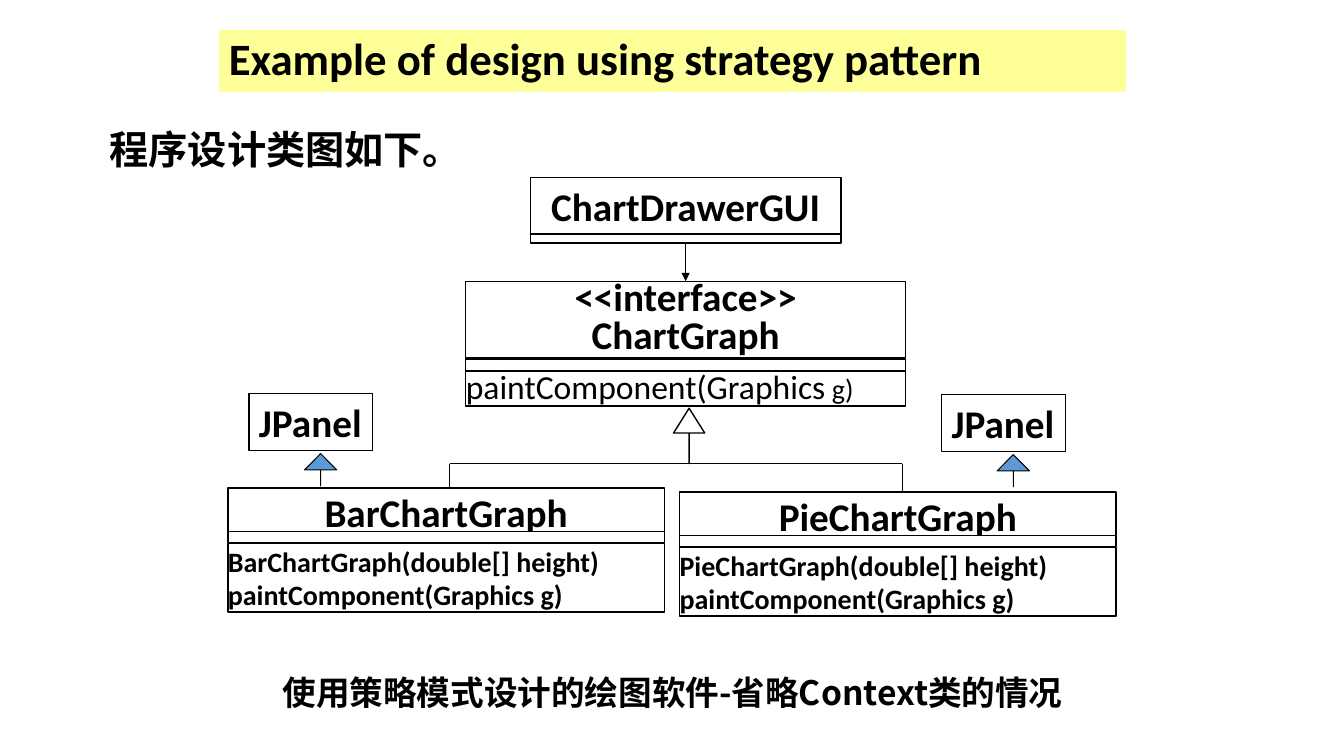
from dataclasses import dataclass

from lxml.etree import SubElement
from pptx import Presentation
from pptx.dml.color import RGBColor
from pptx.enum.shapes import MSO_CONNECTOR as Connector, MSO_SHAPE as Preset
from pptx.enum.text import MSO_ANCHOR as Anchor, MSO_AUTO_SIZE as AutoSize, PP_ALIGN as Align
from pptx.oxml.ns import qn
from pptx.util import Inches, Pt

COLORS = {"ink": "000000", "paper": "FFFFFF", "banner": "FFFF99", "arrow": "5B9BD5"}
LATIN = "Calibri"
CHINESE = "Noto Sans CJK SC"


@dataclass(frozen=True)
class Rect:
    left: float
    top: float
    width: float
    height: float

    def lengths(self) -> tuple:
        return tuple(Inches(n) for n in (self.left, self.top, self.width, self.height))


@dataclass(frozen=True)
class ClassBox:
    title: str
    header: Rect
    strip: Rect
    operations: Rect | None = None
    methods: str = ""
    method_size: int = 20
    method_bold: bool = True
    title_spacing: float = 1.0


@dataclass(frozen=True)
class UpArrow:
    rect: Rect
    head: float
    fill: str
    line_width: float


def color(name: str) -> RGBColor:
    return RGBColor.from_string(COLORS[name])


def style_text(box, size: float, bold: bool = True, font: str = LATIN,
               align=Align.LEFT, spacing: float = 1.0) -> None:
    for para in box.text_frame.paragraphs:
        para.alignment = align
        para.line_spacing = spacing
        for span in para.runs:
            span.font.size = Pt(size)
            span.font.bold = bold
            span.font.name = font
            span.font.color.rgb = color("ink")
            if font == CHINESE:
                SubElement(span.font._element, qn("a:ea")).set("typeface", font)


def place(box, rect: Rect) -> None:
    box.left, box.top, box.width, box.height = rect.lengths()
    box.text_frame.auto_size = AutoSize.NONE


def add_box(shapes, rect: Rect, fill: str | None = "paper", line_width: float = 1,
            preset=Preset.RECTANGLE):
    box = shapes.add_shape(preset, *rect.lengths())
    box.shadow.inherit = False
    if fill:
        box.fill.solid()
        box.fill.fore_color.rgb = color(fill)
    else:
        box.fill.background()
    box.line.color.rgb = color("ink")
    box.line.width = Pt(line_width)
    return box


def fill_compartment(box, text: str) -> None:
    frame = box.text_frame
    frame.margin_left = frame.margin_right = frame.margin_top = frame.margin_bottom = 0
    frame.vertical_anchor = Anchor.MIDDLE
    frame.word_wrap = True
    frame.text = text


def draw_class(page, item: ClassBox) -> tuple:
    shapes = page.shapes.add_group_shape().shapes
    header = add_box(shapes, item.header)
    fill_compartment(header, item.title)
    style_text(header, 28, align=Align.CENTER, spacing=item.title_spacing)
    operations = None
    if item.operations:
        operations = add_box(shapes, item.operations)
        fill_compartment(operations, item.methods)
        style_text(operations, item.method_size, item.method_bold, align=Align.JUSTIFY)
    return header, add_box(shapes, item.strip), operations


def draw_chart_class(page, name: str, left: float, top: float) -> None:
    width = 4.33
    draw_class(page, ClassBox(
        name,
        Rect(left, top, width, 0.48),
        Rect(left, top + 0.43, width, 0.11),
        Rect(left, top + 0.55, width, 0.68),
        f"{name}(double[] height)\npaintComponent(Graphics g)"))


def draw_line(page, start: tuple[float, float], end: tuple[float, float], width: float = 1):
    line = page.shapes.add_connector(
        Connector.STRAIGHT, *(Inches(n) for n in start + end))
    line.line.color.rgb = color("ink")
    line.line.width = Pt(width)
    SubElement(line._element.spPr, qn("a:effectLst"))
    return line


def draw_up_arrow(page, arrow: UpArrow) -> None:
    shape = add_box(page.shapes, arrow.rect, arrow.fill, arrow.line_width, Preset.UP_ARROW)
    shape.adjustments[0] = 0
    shape.adjustments[1] = arrow.head


def draw_panel(page, left: float, top: float) -> None:
    panel = add_box(page.shapes, Rect(left, top, 1.23, 0.57), None, 0.75)
    panel.text_frame.word_wrap = False
    panel.text_frame.vertical_anchor = Anchor.TOP
    panel.text_frame.text = "JPanel"
    style_text(panel, 28)
    draw_up_arrow(page, UpArrow(Rect(left + 0.55, top + 0.6, 0.32, 0.32), 0.505, "arrow", 0.75))


def write_texts(page) -> None:
    title, caption = page.shapes.title, page.placeholders[1]
    place(title, Rect(2.17, 0.3, 9, 0.61))
    title.fill.solid()
    title.fill.fore_color.rgb = color("banner")
    title.text_frame.vertical_anchor = Anchor.MIDDLE
    title.text_frame.text = "Example of design using strategy pattern"
    style_text(title, 32, spacing=0.9)

    place(caption, Rect(2.17, 6.66, 9, 0.55))
    caption.text_frame.text = "使用策略模式设计的绘图软件-省略Context类的情况"
    style_text(caption, 24, font=CHINESE, align=Align.CENTER, spacing=0.9)
    para = caption.text_frame.paragraphs[0]
    para.space_before = Pt(10)
    properties = para._p.get_or_add_pPr()
    properties.set("marL", str(Inches(0.25)))
    properties.set("indent", str(Inches(-0.25)))
    SubElement(properties, qn("a:buNone"))

    intro = page.shapes.add_textbox(*Rect(0.99, 1.28, 3.7, 0.47).lengths())
    intro.text_frame.word_wrap = False
    intro.text_frame.text = "程序设计类图如下。"
    style_text(intro, 28, font=CHINESE, spacing=0.8)


def draw_diagram(page) -> None:
    _, gui_strip, _ = draw_class(page, ClassBox(
        "ChartDrawerGUI", Rect(5.26, 1.76, 3.08, 0.56), Rect(5.26, 2.32, 3.08, 0.09)))
    interface, _, operations = draw_class(page, ClassBox(
        "<<interface>>\nChartGraph", Rect(4.62, 2.79, 4.36, 0.76), Rect(4.62, 3.56, 4.36, 0.12),
        Rect(4.62, 3.62, 4.36, 0.41), "paintComponent(Graphics", 24, False, 0.8))
    operations.text_frame.paragraphs[0].add_run().text = " g)"
    style_text(operations, 24, False, align=Align.JUSTIFY)
    operations.text_frame.paragraphs[0].runs[1].font.size = Pt(20)

    usage = draw_line(page, (6.8, 2.41), (6.8, 2.79), 0.75)
    usage.begin_connect(gui_strip, 2)
    usage.end_connect(interface, 0)
    SubElement(usage.line._get_or_add_ln(), qn("a:tailEnd")).set("type", "triangle")

    branch_left, branch_right, branch_top = 4.46, 8.95, 4.6
    draw_line(page, (branch_left, branch_top), (branch_right, branch_top))
    for x in (branch_left, branch_right):
        draw_line(page, (x, branch_top), (x, branch_top + 0.31))
    draw_up_arrow(page, UpArrow(Rect(6.68, 4.05, 0.31, 0.55), 0.795, "paper", 1))

    draw_chart_class(page, "PieChartGraph", 6.74, 4.88)
    draw_chart_class(page, "BarChartGraph", 2.26, 4.84)
    draw_panel(page, 2.47, 3.9)
    draw_panel(page, 9.34, 3.91)


def main() -> None:
    deck = Presentation()
    deck.slide_width, deck.slide_height = Inches(13.33), Inches(7.5)
    page = deck.slides.add_slide(deck.slide_layouts[1])
    write_texts(page)
    draw_diagram(page)
    deck.save("out.pptx")


if __name__ == "__main__":
    main()
